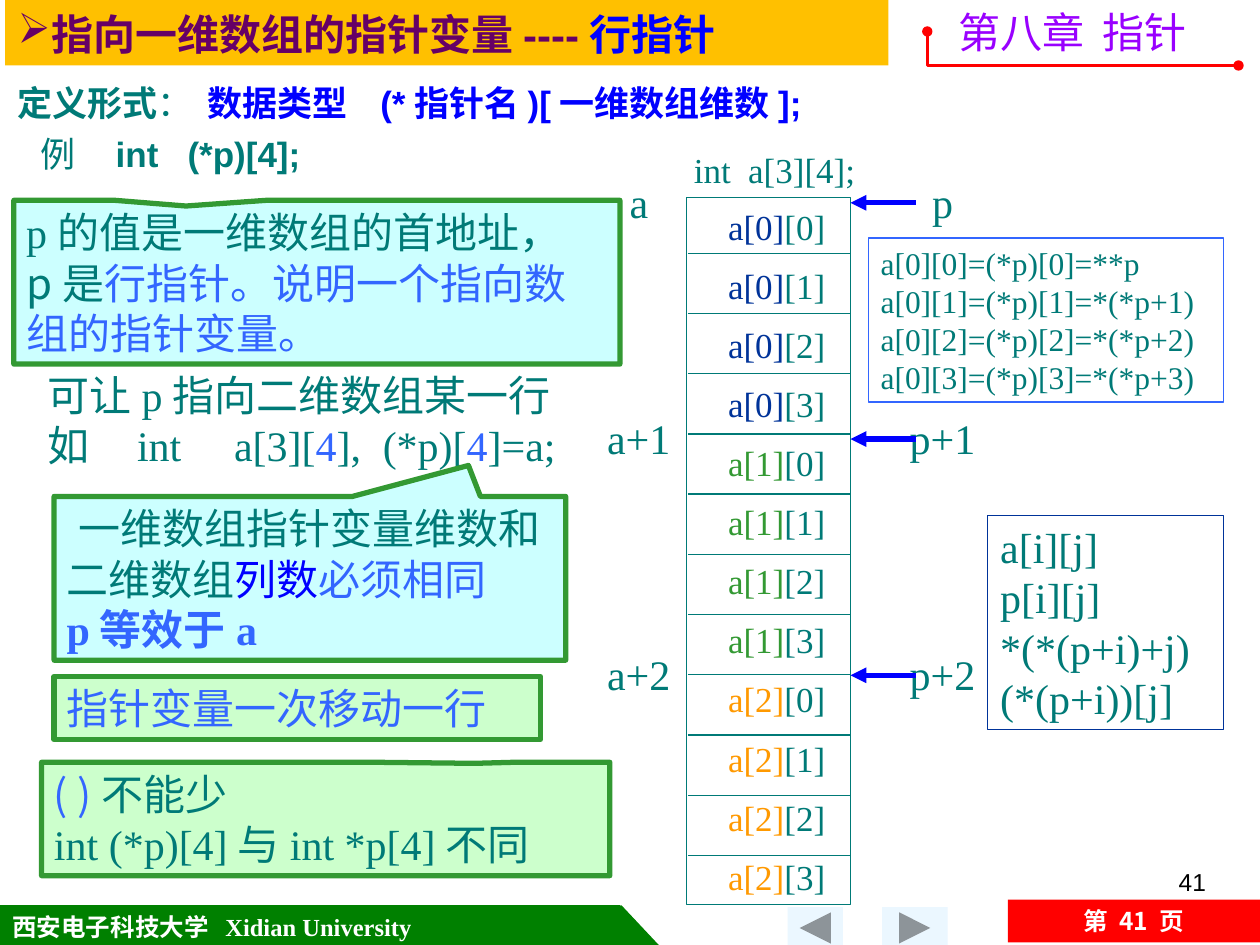
from lxml.etree import SubElement
from pptx import Presentation
from pptx.dml.color import RGBColor
from pptx.enum.shapes import MSO_CONNECTOR, MSO_SHAPE
from pptx.enum.text import MSO_ANCHOR, MSO_AUTO_SIZE, PP_ALIGN
from pptx.oxml.ns import qn
from pptx.util import Inches, Pt

TEAL, BLUE, SKY, NAVY = "007A77", "0000FF", "3366FF", "003399"
GREEN, MINT, AQUA, WHITE = "339933", "CCFFCC", "CCFFFF", "FFFFFF"
TIMES, ARIAL, NOTO = "Times New Roman", "Arial", "Noto Sans CJK SC"
TOP, MID = MSO_ANCHOR.TOP, MSO_ANCHOR.MIDDLE
LEFT, CENTER, RIGHT = PP_ALIGN.LEFT, PP_ALIGN.CENTER, PP_ALIGN.RIGHT

hue = RGBColor.from_string
prs = Presentation()
prs.slide_width, prs.slide_height = Inches(10), Inches(7.5)
slide = prs.slides.add_slide(prs.slide_layouts[5])
shapes = slide.shapes


def write(shape, lines, size=24, face=TIMES, anchor=TOP, align=LEFT,
          wrap=True, tabs=()):
    """Each line is a list of runs: (text, colour, bold, face), the last two optional."""
    frame = shape.text_frame
    frame.word_wrap = wrap
    frame.auto_size = MSO_AUTO_SIZE.NONE
    frame.vertical_anchor = anchor
    for i, line in enumerate(lines):
        para = frame.paragraphs[0] if i == 0 else frame.add_paragraph()
        para.alignment = align
        if tabs:
            stops = SubElement(para._p.get_or_add_pPr(), qn("a:tabLst"))
            for pos in tabs:
                SubElement(stops, qn("a:tab"), pos=str(Inches(pos)), algn="l")
        for text, color, *rest in line:
            run = para.add_run()
            run.text = text
            font = run.font
            font.size = Pt(size)
            font.bold = bool(rest and rest[0])
            font.name = rest[1] if len(rest) > 1 else face
            font.color.rgb = hue(color)
            SubElement(run._r.rPr, qn("a:ea"), typeface=NOTO)
    return frame


def draw(kind, x, y, w, h, fill=None, line=None, width=0.75):
    shape = shapes.add_shape(kind, Inches(x), Inches(y), Inches(w), Inches(h))
    shape.shadow.inherit = False
    if fill:
        shape.fill.solid()
        shape.fill.fore_color.rgb = hue(fill)
    else:
        shape.fill.background()
    if line:
        shape.line.color.rgb = hue(line)
        shape.line.width = Pt(width)
    else:
        shape.line.fill.background()
    return shape


RECT, CALL = MSO_SHAPE.RECTANGLE, MSO_SHAPE.RECTANGULAR_CALLOUT

# Title bar
title = shapes.title
title.left, title.top = Inches(0.04), Inches(0)
title.width, title.height = Inches(7.01), Inches(0.52)
title.fill.solid()
title.fill.fore_color.rgb = hue("FFC000")
props = title.text_frame.paragraphs[0]._p.get_or_add_pPr()
props.set("marL", "0")
props.set("indent", "0")
SubElement(SubElement(props, qn("a:buClr")), qn("a:srgbClr"), val="660066")
SubElement(props, qn("a:buChar"), char="➢")
write(title, [[("指向一维数组的指针变量----", "660066", True),
               ("行指针", BLUE, True)]], face=ARIAL, anchor=MSO_ANCHOR.BOTTOM)

# Footer
foot = draw(RECT, 0, 7.19, 4.92, 0.33, "008000", "008000")
write(foot, [[("西安电子科技大学\tXidian University", WHITE, True)]], 14,
      anchor=MID, tabs=[1.69])
draw(MSO_SHAPE.RIGHT_TRIANGLE, 4.93, 7.19, 0.31, 0.33, "008000", "008000")
for x, w, turn in [(7, 0.52, 0), (6.25, 0.44, 180)]:
    button = draw(MSO_SHAPE.ACTION_BUTTON_FORWARD_OR_NEXT, x, 7.2, w, 0.33, "EBF7FF")
    button.rotation = turn
page = draw(RECT, 8, 7.14, 2, 0.34, "FF0000")
write(page, [[("第 41 页", WHITE, True)]], 14, NOTO, MID, CENTER)

# Free text: place, lines, size, face, alignment, tab stops
notes = [
    ((7.17, 6.83, 2.5, 0.52), [[("41", "000000")]], 14, ARIAL, RIGHT, []),
    ((0.04, 0.6, 6.9, 0.84),
     [[("定义形式", TEAL, True), ("：", TEAL),
       ("\t数据类型\t(*指针名)[一维数组维数];", BLUE, True)],
      [("\t例", TEAL), ("\tint\t(*p)[4];", TEAL, True)]],
     20, ARIAL, LEFT, [0.18, 0.78, 1.35, 1.51, 2.88]),
    ((0.28, 2.88, 4.6, 0.87),
     [[("可让p指向二维数组某一行", TEAL)],
      [("如\tint\ta[3][", TEAL), ("4", SKY), ("],\t(*p)[", TEAL),
       ("4", SKY), ("]=a;", TEAL)]],
     24, TIMES, LEFT, [0.71, 1.48, 2.66]),
    ((5.41, 1.13, 1.6, 0.44), [[("int\ta[3][4];", TEAL)]], 20, TIMES, LEFT, [0.43]),
    ((7.51, 0, 2.3, 0.5), [[("第八章\t指针", "9900FF")]], 24, NOTO, LEFT, [1.14]),
]
for place, lines, size, face, align, tabs in notes:
    box = shapes.add_textbox(*map(Inches, place))
    frame = write(box, lines, size, face, align=align, tabs=tabs)
    if face == ARIAL and len(lines) > 1:
        frame.paragraphs[1].space_before = Pt(5)

# Framed notes: kind, place, fill, line, width, pointer, lines, size, anchor
frames = [
    (CALL, (0.33, 6.05, 4.51, 0.9), MINT, GREEN, 3, (0.262, -0.49),
     [[("( )", SKY, False, NOTO), ("不能少", TEAL)],
      [("int (*p)[4]与int *p[4]不同", TEAL)]], 24, MID),
    (CALL, (0.11, 1.59, 4.81, 1.3), AQUA, GREEN, 3, (-0.216, -0.465),
     [[("p", TEAL), ("的值是一维数组的首地址，", TEAL, False, NOTO)],
      [("p是", TEAL, False, NOTO),
       ("行指针。说明一个指向数组的指针变量。", SKY, False, NOTO)]], 24, MID),
    (CALL, (0.43, 3.94, 4.06, 1.3), AQUA, GREEN, 3, (0.31, -0.689),
     [[("一维数组指针变量维数和", TEAL)],
      [("二维数组", TEAL), ("列数", BLUE), ("必须相同", SKY)],
      [("p等效于a", SKY, True)]], 24, MID),
    (RECT, (0.43, 5.37, 3.86, 0.5), MINT, GREEN, 3, None,
     [[("指针变量一次移动一行", SKY)]], 24, MID),
    (RECT, (6.89, 1.89, 2.82, 1.3), None, SKY, 0.75, None,
     [[("a[0][0]=(*p)[0]=**p", TEAL)]]
     + [[(f"a[0][{j}]=(*p)[{j}]=*(*p+{j})", TEAL)] for j in (1, 2, 3)], 18, TOP),
    (RECT, (7.84, 4.09, 1.87, 1.7), None, NAVY, 0.75, None,
     [[(text, TEAL)] for text in ("a[i][j]", "p[i][j]", "*(*(p+i)+j)", "(*(p+i))[j]")],
     24, TOP),
]
for kind, place, fill, line, width, tip, lines, size, anchor in frames:
    shape = draw(kind, *place, fill, line, width)
    if tip:
        shape.adjustments[0], shape.adjustments[1] = tip
    frame = write(shape, lines, size, anchor=anchor)
    if len(lines) == 3:
        frame.paragraphs[0].alignment = CENTER

# Memory column: twelve cells, then row labels with arrows
draw(RECT, 5.45, 1.57, 1.3, 5.61, None, TEAL)
links = [(5.46, 2.01 + 0.478 * i, 6.75, TEAL, 0.75) for i in range(11)]
for i in range(12):
    row, col = divmod(i, 4)
    cell = shapes.add_textbox(Inches(5.68), Inches(1.58 + 0.469 * i),
                              Inches(0.97), Inches(0.44))
    write(cell, [[(f"a[{row}]", (NAVY, GREEN, "FF9900")[row]), (f"[{col}]", TEAL)]],
          20, wrap=False)
for row in range(3):
    y = 1.35 + 1.875 * row
    step = f"+{row}" if row else ""
    for name, x in [("a", 4.71), ("p", 7.12)]:
        label = shapes.add_textbox(Inches(x), Inches(y), Inches(0.72), Inches(0.5))
        write(label, [[(name + step, TEAL)]], anchor=MID, align=CENTER, wrap=False)
    links.append((7.27, y + 0.26, 6.75, BLUE, 3))
for x, y, end, color, width in links:
    link = shapes.add_connector(MSO_CONNECTOR.STRAIGHT, Inches(x), Inches(y),
                                Inches(end), Inches(y))
    link.line.color.rgb = hue(color)
    link.line.width = Pt(width)
    if color == BLUE:
        SubElement(link.line._get_or_add_ln(), qn("a:tailEnd"), type="triangle")
    SubElement(link._element.spPr, qn("a:effectLst"))

# Chapter rule with round ends
pen = shapes.build_freeform(Inches(7.36), Inches(0.25))
pen.add_line_segments([(Inches(7.36), Inches(0.52)), (Inches(9.83), Inches(0.52))],
                      close=False)
rule = pen.convert_to_shape()
rule.shadow.inherit = False
rule.fill.background()
rule.line.color.rgb = hue("FF0000")
rule.line.width = Pt(1.5)
for end in ("a:headEnd", "a:tailEnd"):
    SubElement(rule.line._get_or_add_ln(), qn(end), type="oval")

prs.save("out.pptx")
